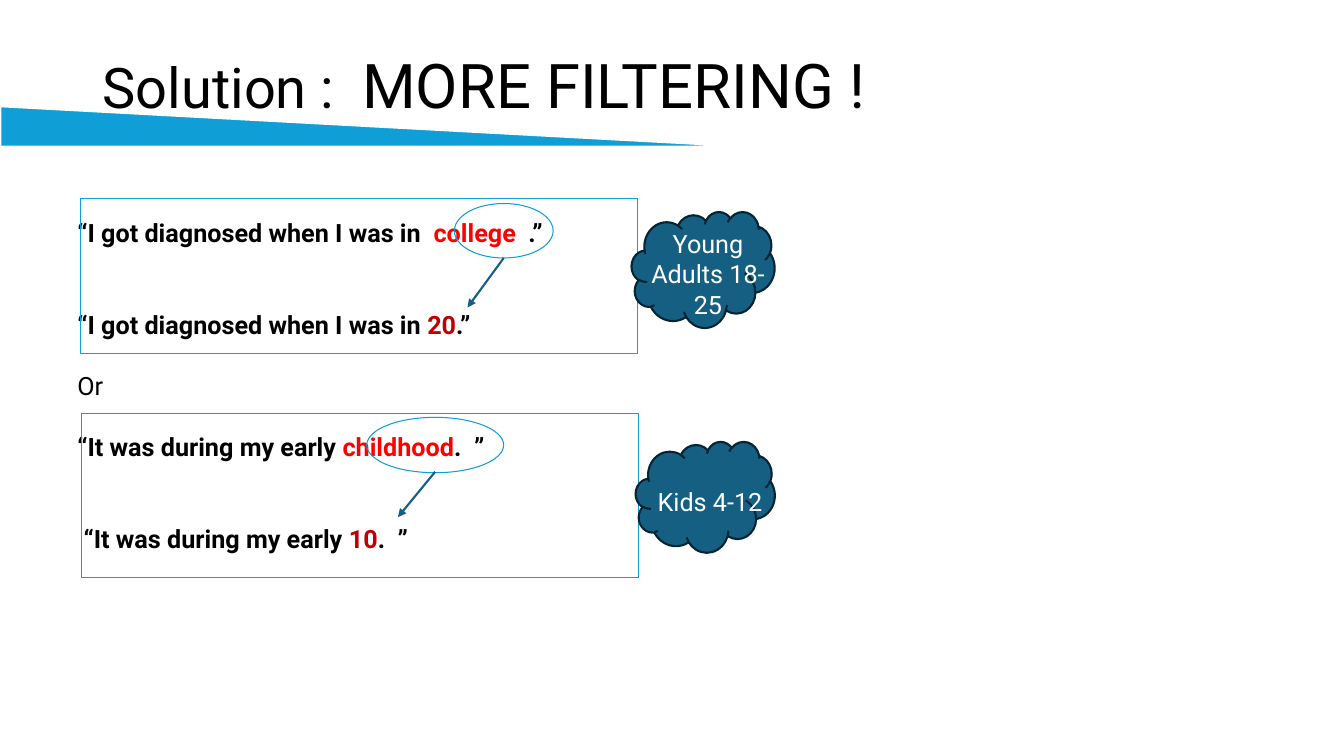
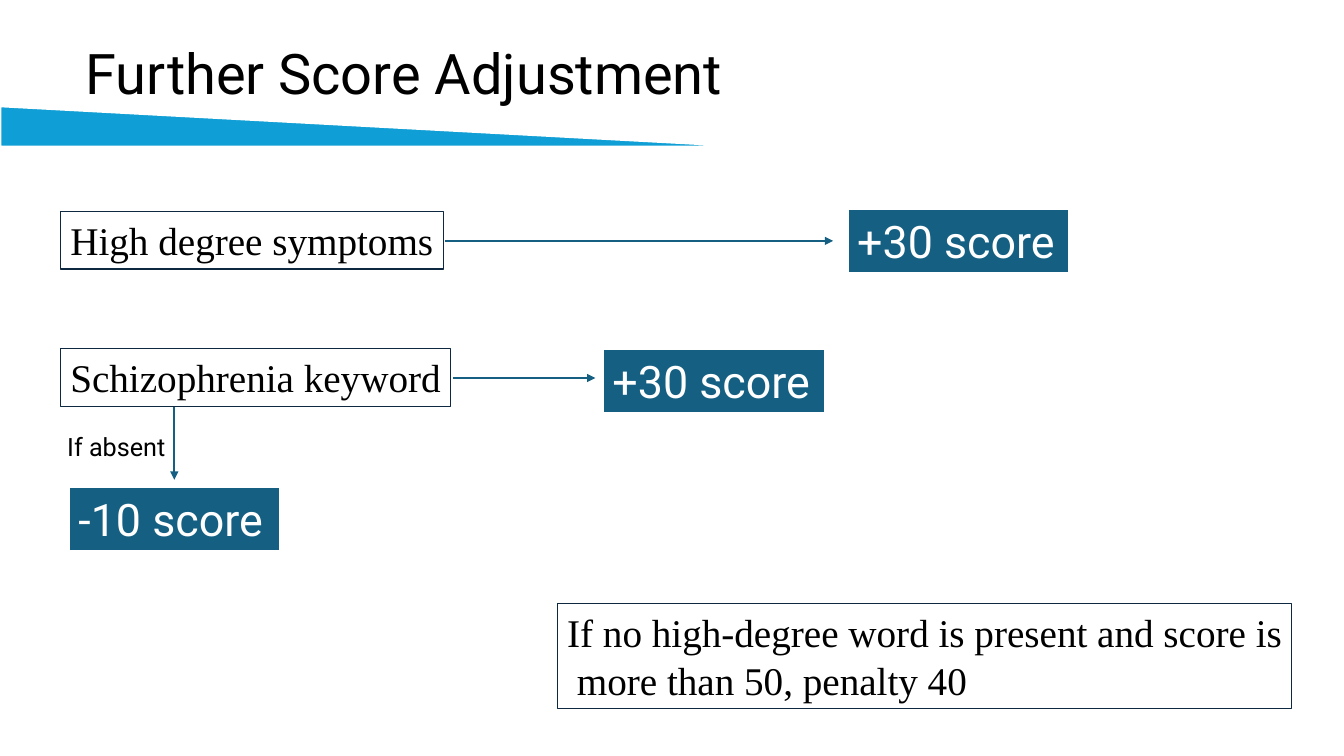
from dataclasses import dataclass
from typing import NamedTuple, Optional

from lxml import etree
from pptx import Presentation
from pptx.dml.color import RGBColor
from pptx.enum.shapes import MSO_CONNECTOR, MSO_SHAPE
from pptx.enum.text import MSO_ANCHOR, MSO_AUTO_SIZE, PP_ALIGN
from pptx.oxml.ns import qn
from pptx.util import Pt

RECT = MSO_SHAPE.RECTANGLE
OVAL = MSO_SHAPE.OVAL
CLOUD = MSO_SHAPE.CLOUD
WEDGE = MSO_SHAPE.RIGHT_TRIANGLE
LINE = MSO_CONNECTOR.STRAIGHT
TOP, MID, LOW = MSO_ANCHOR.TOP, MSO_ANCHOR.MIDDLE, MSO_ANCHOR.BOTTOM
LEFT, CENTER = PP_ALIGN.LEFT, PP_ALIGN.CENTER
FIXED = MSO_AUTO_SIZE.NONE


@dataclass(frozen=True)
class Theme:
    sans: str = "Roboto"
    serif: str = "Times New Roman"
    black: str = "000000"
    white: str = "FFFFFF"
    sky: str = "0F9ED5"
    teal: str = "156082"
    navy: str = "0E2841"
    ink: str = "042433"
    red: str = "FF0000"
    wine: str = "C00000"
    body: int = 18
    rule: int = 28
    score: int = 32
    title: int = 40
    shout: int = 44
    thin: float = 0.75
    line: float = 1.5
    edge: float = 2


class Run(NamedTuple):
    text: str
    color: Optional[str] = None
    size: Optional[float] = None
    bold: Optional[bool] = None


class Box(NamedTuple):
    x: float
    y: float
    w: float
    h: float


class Arrow(NamedTuple):
    x1: float
    y1: float
    x2: float
    y2: float


class Card(NamedTuple):
    box: Box
    lines: list


T = Theme()
BAND = Box(0, 75.6, 546.5, 29.5)


def place(box: Box) -> tuple:
    return tuple(Pt(v) for v in box)


def write(frame, paras, *, size=T.body, font=T.sans, color=T.black, bold=False,
          align=LEFT, anchor=TOP, wrap=True, pads=(7.2, 3.6, 0, 3.6),
          gaps=(), pitch=None, broken=False) -> None:
    frame.word_wrap = wrap
    frame.auto_size = FIXED
    frame.vertical_anchor = anchor
    (frame.margin_left, frame.margin_top,
     frame.margin_right, frame.margin_bottom) = (Pt(v) for v in pads)
    for i, runs in enumerate(paras):
        para = frame.paragraphs[0] if i == 0 else frame.add_paragraph()
        para.alignment = align
        para.space_before = Pt(gaps[i] if gaps else 0)
        if pitch:
            para.line_spacing = pitch
        for j, run in enumerate(runs):
            if broken and j:
                para.add_line_break()
            part = para.add_run()
            part.text = run.text
            part.font.name = font
            part.font.size = Pt(run.size or size)
            part.font.bold = bold if run.bold is None else run.bold
            part.font.color.rgb = RGBColor.from_string(run.color or color)


def draw(slide, kind, box: Box, fill: Optional[str], line: str, width: float):
    shape = slide.shapes.add_shape(kind, *place(box))
    shape.shadow.inherit = False
    if fill:
        shape.fill.solid()
        shape.fill.fore_color.rgb = RGBColor.from_string(fill)
    else:
        shape.fill.background()
    shape.line.color.rgb = RGBColor.from_string(line)
    shape.line.width = Pt(width)
    return shape


def link(slide, arrow: Arrow) -> None:
    wire = slide.shapes.add_connector(LINE, *(Pt(v) for v in arrow))
    wire.line.color.rgb = RGBColor.from_string(T.teal)
    wire.line.width = Pt(T.line)
    props = wire.element.spPr
    etree.SubElement(props.find(qn("a:ln")), qn("a:tailEnd"), type="triangle")
    etree.SubElement(props, qn("a:effectLst"))


def start(deck, box: Box, runs: list, anchor):
    slide = deck.slides.add_slide(deck.slide_layouts[5])
    title = slide.shapes.title
    title.left, title.top, title.width, title.height = place(box)
    write(title.text_frame, [runs], size=T.title, anchor=anchor, pitch=0.9)
    draw(slide, WEDGE, BAND, T.sky, T.white, T.edge)
    return slide


def label(slide, box: Box, paras: list, **form) -> None:
    write(slide.shapes.add_textbox(*place(box)).text_frame, paras, **form)


def cloud(slide, card: Card) -> None:
    box = card.box
    shape = draw(slide, CLOUD, box, T.teal, T.ink, T.line)
    write(shape.text_frame, [[Run(t) for t in card.lines]], color=T.white,
          align=CENTER, anchor=MID, wrap=False, broken=True,
          pads=(0.14 * box.w, 0.12 * box.h, 0, 0))


def rule(slide, card: Card) -> None:
    shape = draw(slide, RECT, card.box, None, T.navy, T.thin)
    write(shape.text_frame, [[Run(t)] for t in card.lines],
          size=T.rule, font=T.serif)


def score(slide, card: Card) -> None:
    shape = draw(slide, RECT, card.box, T.teal, T.white, T.edge)
    write(shape.text_frame, [[Run(t)] for t in card.lines],
          size=T.score, color=T.white)


def filters(deck) -> None:
    slide = start(deck, Box(66.2, 36, 739.4, 54.7),
                  [Run("Solution :  "), Run("MORE FILTERING !", size=T.shout)],
                  LOW)
    quotes = [
        [Run("“I got diagnosed when I was in  "), Run("college", T.red),
         Run("  .”")],
        [Run("“I got diagnosed when I was in "), Run("20", T.wine),
         Run(".”")],
        [Run("Or", bold=False)],
        [Run("“It was during my early "), Run("childhood", T.red),
         Run(".  ”")],
        [Run(" “It was during my early "), Run("10", T.wine),
         Run(".  ”")],
    ]
    label(slide, Box(48.2, 107.3, 386, 309.6), quotes, bold=True,
          pads=(7.2, 48.3, 0, 3.6), gaps=(0, 44, 22, 22, 43.5))
    for oval in (Box(324.7, 145.4, 70.6, 38.9), Box(262.1, 298.1, 97.9, 39.6)):
        draw(slide, OVAL, oval, None, T.sky, T.thin)
    for arrow in (Arrow(360, 184.3, 334.1, 219.6),
                  Arrow(311, 337, 284.4, 369.4)):
        link(slide, arrow)
    for frame in (Box(57.6, 141.8, 398.2, 110.9),
                  Box(58.3, 295.2, 398.2, 117.4)):
        draw(slide, RECT, frame, None, T.sky, T.thin)
    for card in (
        Card(Box(454.3, 315.4, 99.4, 79.2), ["Kids 4-12"]),
        Card(Box(451.4, 151.2, 102.2, 82.8), ["Young", "Adults 18-", "25"]),
    ):
        cloud(slide, card)


def scores(deck) -> None:
    slide = start(deck, Box(54, 16.6, 811.4, 76.3),
                  [Run("Further Score Adjustment")], MID)
    for card in (
        Card(Box(43.2, 151.2, 273.6, 41), ["High degree symptoms"]),
        Card(Box(43.2, 249.1, 278.6, 41), ["Schizophrenia keyword"]),
        Card(Box(398.2, 431.3, 524.9, 74.9),
             ["If no high-degree word is present and score is",
              " more than 50, penalty 40"]),
    ):
        rule(slide, card)
    for card in (
        Card(Box(605.5, 149, 159.1, 46.1), ["+30 score"]),
        Card(Box(430.6, 249.1, 159.1, 46.1), ["+30 score"]),
        Card(Box(49, 347.8, 151.2, 46.1), ["-10 score"]),
    ):
        score(slide, card)
    for arrow in (Arrow(318.2, 172.1, 595.4, 172.1),
                  Arrow(324, 270, 425.5, 270),
                  Arrow(124.6, 290.9, 124.6, 342.7)):
        link(slide, arrow)
    label(slide, Box(41, 304.6, 88.6, 28.8), [[Run("If absent")]])


def main() -> None:
    deck = Presentation()
    deck.slide_width, deck.slide_height = Pt(960.5), Pt(540)
    filters(deck)
    scores(deck)
    deck.save("out.pptx")


main()
